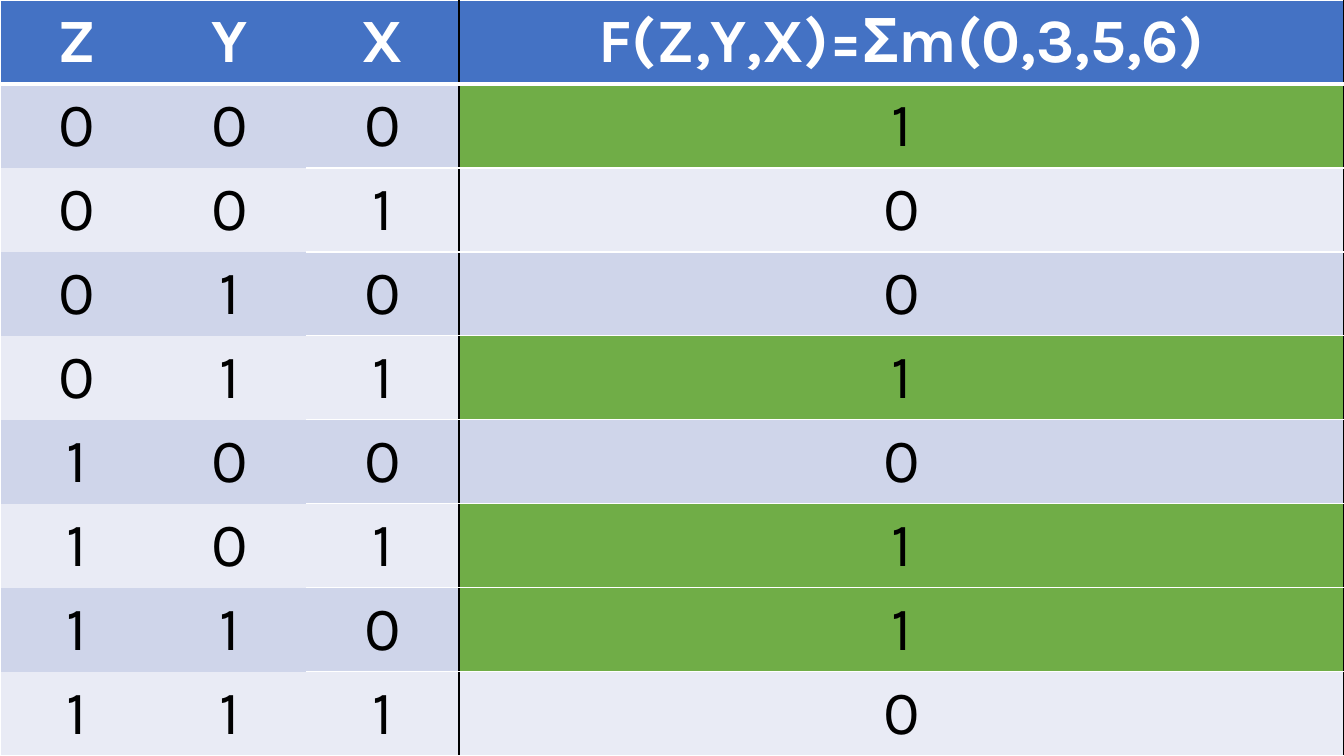
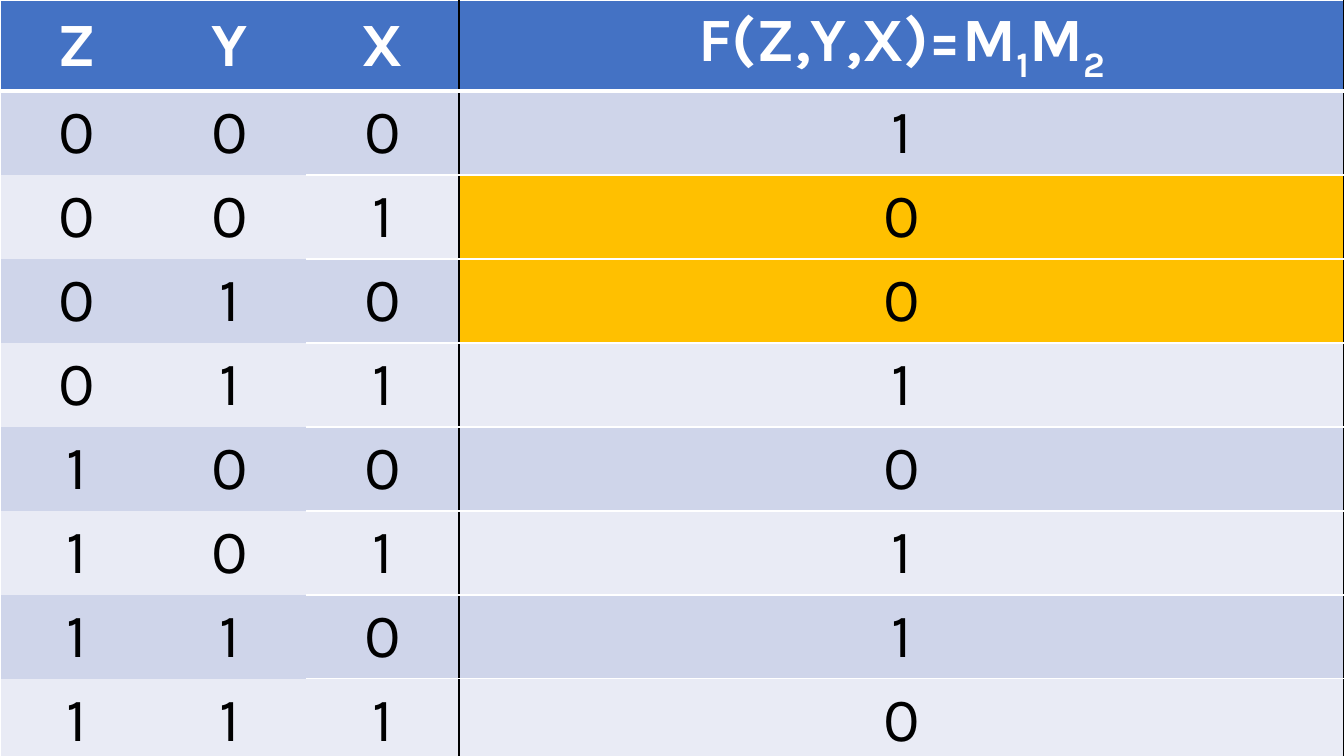
from itertools import product

from lxml import etree
from pptx import Presentation
from pptx.dml.color import RGBColor
from pptx.enum.text import MSO_ANCHOR, PP_ALIGN
from pptx.oxml.ns import qn
from pptx.util import Pt

CENTER = PP_ALIGN.CENTER
MIDDLE = MSO_ANCHOR.MIDDLE

# Shared style
EMU_PER_PX = 914400 / 100.8
SLIDE_WIDTH, SLIDE_HEIGHT = 1344, 756
COLUMN_WIDTHS = (153, 153, 153, 885)
FONT_NAME, FONT_SIZE = "Karla", 44
SUBSCRIPT = "-25000"
WHITE = RGBColor(0xFF, 0xFF, 0xFF)
BLACK = RGBColor(0x00, 0x00, 0x00)
BLUE = RGBColor(0x44, 0x72, 0xC4)
GREEN = RGBColor(0x70, 0xAD, 0x47)
GOLD = RGBColor(0xFF, 0xC0, 0x00)
BANDS = (RGBColor(0xCF, 0xD5, 0xEA), RGBColor(0xE9, 0xEB, 0xF5))

# Truth table content
VARIABLES = ("Z", "Y", "X")
MINTERMS = {0, 3, 5, 6}
INPUT_ROWS = list(product("01", repeat=len(VARIABLES)))


def px(length):
    return round(length * EMU_PER_PX)


class Deck:
    def __init__(self):
        self.presentation = Presentation()
        self.presentation.slide_width = px(SLIDE_WIDTH)
        self.presentation.slide_height = px(SLIDE_HEIGHT)
        self.slide = None

    def add_slide(self):
        blank = self.presentation.slide_layouts[6]
        self.slide = self.presentation.slides.add_slide(blank)

    def cell_text(self, cell, runs, color, bold):
        """Fill a cell with (text, is_subscript) runs."""
        cell.vertical_anchor = MIDDLE
        paragraph = cell.text_frame.paragraphs[0]
        paragraph.alignment = CENTER
        for text, is_subscript in runs:
            run = paragraph.add_run()
            run.text = text
            font = run.font
            font.name, font.size, font.bold = FONT_NAME, Pt(FONT_SIZE), bold
            font.color.rgb = color
            if is_subscript:
                run._r.get_or_add_rPr().set("baseline", SUBSCRIPT)

    def cell_border(self, cell, **sides):
        """Draw the given sides as (color, points); leave the others clear."""
        properties = cell._tc.get_or_add_tcPr()
        for side in "LRTB":
            line = etree.SubElement(properties, qn(f"a:ln{side}"))
            if side not in sides:
                etree.SubElement(line, qn("a:noFill"))
                continue
            color, points = sides[side]
            line.set("w", str(Pt(points)))
            fill = etree.SubElement(line, qn("a:solidFill"))
            etree.SubElement(fill, qn("a:srgbClr")).set("val", str(color))

    def borders_at(self, row, column):
        """Rows are ruled from the X column on; F has black sides."""
        last_row, last_column = len(INPUT_ROWS), len(VARIABLES)
        ruled = column >= last_column - 1
        sides = {}
        if column == 0:
            sides["L"] = (WHITE, 1)
        if column == last_column:
            sides["L"] = (BLACK, 1)
        if ruled:
            sides["R"] = (BLACK, 1)
        if ruled or row <= 1:
            sides["T"] = (WHITE, 3 if row == 1 else 1)
        if ruled or row in (0, last_row):
            sides["B"] = (WHITE, 3 if row == 0 else 1)
        return sides

    def truth_table(self, function_runs, marked_rows, mark_color):
        row_count = len(INPUT_ROWS) + 1
        frame = self.slide.shapes.add_table(
            row_count, len(COLUMN_WIDTHS), 0, 0, px(SLIDE_WIDTH), px(SLIDE_HEIGHT))
        table = frame.table
        for column, width in zip(table.columns, COLUMN_WIDTHS):
            column.width = px(width)
        for row in table.rows:
            row.height = px(SLIDE_HEIGHT // row_count)

        # Header and body contents
        rows = [[[(name, False)] for name in VARIABLES] + [function_runs]]
        for index, inputs in enumerate(INPUT_ROWS):
            output = "1" if index in MINTERMS else "0"
            rows.append([[(digit, False)] for digit in (*inputs, output)])

        for row, contents in enumerate(rows):
            header = row == 0
            for column, runs in enumerate(contents):
                cell = table.cell(row, column)
                self.cell_text(cell, runs, WHITE if header else BLACK, header)
                self.cell_border(cell, **self.borders_at(row, column))
                fill = BLUE if header else BANDS[(row - 1) % 2]
                if column == len(VARIABLES) and row - 1 in marked_rows:
                    fill = mark_color
                cell.fill.solid()
                cell.fill.fore_color.rgb = fill


def main():
    deck = Deck()

    # Sum of minterms
    deck.add_slide()
    deck.truth_table([("F(Z,Y,X)=Σm(0,3,5,6)", False)], MINTERMS, GREEN)

    # Product of maxterms
    deck.add_slide()
    deck.truth_table(
        [("F(Z,Y,X)=M", False), ("1", True), ("M", False), ("2", True)],
        {1, 2}, GOLD)

    deck.presentation.save("out.pptx")


if __name__ == "__main__":
    main()
